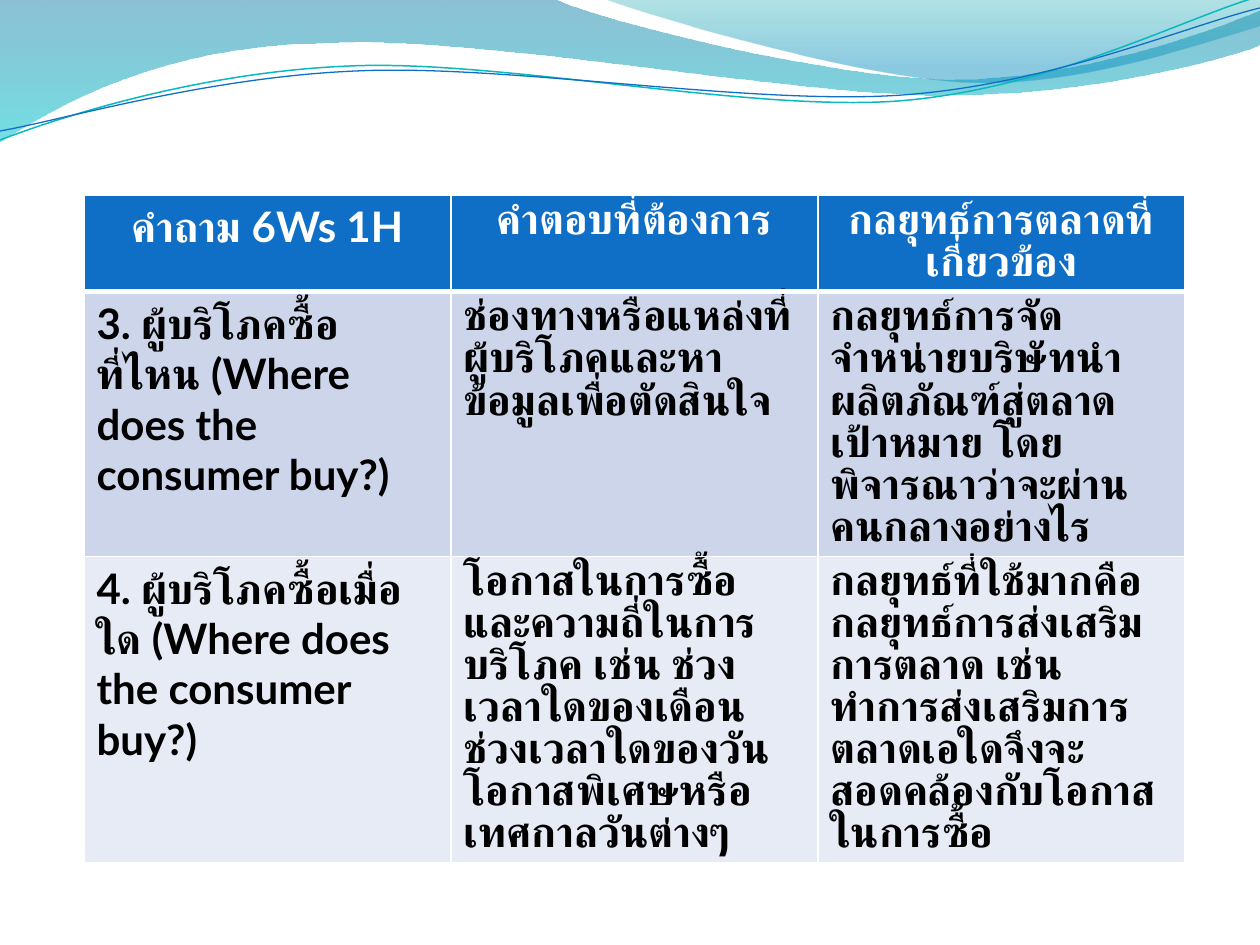
from typing import NamedTuple

from lxml.etree import SubElement
from pptx import Presentation
from pptx.dml.color import RGBColor
from pptx.enum.text import PP_ALIGN
from pptx.oxml import parse_xml
from pptx.oxml.ns import nsdecls, qn
from pptx.util import Emu, Pt

SCALE = 914400 / 126
FONT = "Lato"

Point = tuple[int, int]


class Stop(NamedTuple):
    pos: int
    color: str
    alpha: int


class Outline(NamedTuple):
    """A start and its segments: one point is a line, three are a Bezier curve."""
    start: Point
    segments: list[list[Point]]


class Band(NamedTuple):
    outline: Outline
    stops: list[Stop]


class Wave(NamedTuple):
    outline: Outline
    color: str
    width: float


class Row(NamedTuple):
    fill: str
    color: str
    texts: list[str]


BANDS = [
    Band(Outline((0, 0), [
        [(554, -1)],
        [(600, 21), (837, 79), (955, 79)],
        [(1075, 79), (1207, 33), (1260, 11)],
        [(1261, 45)],
        [(1239, 55), (1096, 96), (940, 95)],
        [(784, 95), (481, 35), (324, 43)],
        [(163, 45), (58, 105), (-1, 142)]]),
        [Stop(0, "0074A1", 45), Stop(100, "00C6CF", 55)]),
    Band(Outline((604, -1), [
        [(641, 14), (859, 78), (969, 82)],
        [(1079, 87), (1211, 40), (1260, 26)],
        [(1260, 0)]]),
        [Stop(0, "00A1A9", 30), Stop(80, "008BBF", 45)]),
]
WAVES = [
    Wave(Outline((0, 140), [
        [(60, 117), (199, 72), (349, 66)],
        [(498, 59), (747, 112), (898, 101)],
        [(1050, 89), (1182, 19), (1257, -3)]]), "0AB8BF", 0.85),
    Wave(Outline((0, 131), [
        [(59, 121), (207, 77), (357, 71)],
        [(508, 64), (752, 106), (903, 95)],
        [(1053, 84), (1186, 26), (1260, 8)]]), "0F6FC6", 0.75),
]
ROWS = [
    Row("0F6FC6", "FFFFFF", [
        "คำถาม 6Ws 1H",
        "คำตอบที่ต้องการ",
        "กลยุทธ์การตลาดที่เกี่ยวข้อง"]),
    Row("CCD5EA", "000000", [
        "3. ผู้บริโภคซื้อที่ไหน (Where does the consumer buy?)",
        "ช่องทางหรือแหล่งที่ผู้บริโภคและหาข้อมูลเพื่อตัดสินใจ",
        "กลยุทธ์การจัดจำหน่ายบริษัทนำผลิตภัณฑ์สู่ตลาดเป้าหมาย "
        "โดยพิจารณาว่าจะผ่านคนกลางอย่างไร"]),
    Row("E7EBF5", "000000", [
        "4. ผู้บริโภคซื้อเมื่อใด (Where does the consumer buy?)",
        "โอกาสในการซื้อ และความถี่ในการบริโภค เช่น ช่วงเวลาใดของเดือน "
        "ช่วงเวลาใดของวันโอกาสพิเศษหรือเทศกาลวันต่างๆ",
        "กลยุทธ์ที่ใช้มากคือ กลยุทธ์การส่งเสริมการตลาด เช่น "
        "ทำการส่งเสริมการตลาดเอใดจึงจะสอดคล้องกับโอกาสในการซื้อ"]),
]
TABLE_LEFT, TABLE_TOP, TABLE_HEIGHT = 84, 195, 542
COL_WIDTH, ROW_HEIGHT = 367, 52


def px(n: int) -> Emu:
    return Emu(round(n * SCALE))


def rgb(color: str) -> RGBColor:
    return RGBColor.from_string(color)


def add_outline(slide, outline: Outline, close: bool):
    """Build the outline from its end points, then bend the curved segments."""
    start, segments = outline
    builder = slide.shapes.build_freeform(px(start[0]), px(start[1]))
    builder.add_line_segments(
        [(px(x), px(y)) for x, y in (seg[-1] for seg in segments)], close=close)
    sp = builder.convert_to_shape()
    sp.shadow.inherit = False
    lines = list(sp.element.iter(qn("a:lnTo")))
    for line, segment in zip(lines, segments):
        if len(segment) == 3:
            curve = parse_xml(f'<a:cubicBezTo {nsdecls("a")}/>')
            for x, y in segment:
                SubElement(curve, qn("a:pt"),
                           x=str(px(x) - sp.left), y=str(px(y) - sp.top))
            line.getparent().replace(line, curve)
    return sp


def add_band(slide, band: Band) -> None:
    sp = add_outline(slide, band.outline, True)
    sp.line.fill.background()
    stops = "".join(
        f'<a:gs pos="{s.pos * 1000}"><a:srgbClr val="{s.color}">'
        f'<a:alpha val="{s.alpha * 1000}"/></a:srgbClr></a:gs>' for s in band.stops)
    grad = parse_xml(f'<a:gradFill {nsdecls("a")} rotWithShape="1"><a:gsLst>{stops}'
                     '</a:gsLst><a:lin ang="5400000" scaled="0"/></a:gradFill>')
    sp.element.spPr.find(qn("a:custGeom")).addnext(grad)


def add_wave(slide, wave: Wave) -> None:
    sp = add_outline(slide, wave.outline, False)
    sp.fill.background()
    sp.line.color.rgb = rgb(wave.color)
    sp.line.width = Pt(wave.width)


def set_borders(cell, bottom: int) -> None:
    tcPr = cell._tc.get_or_add_tcPr()
    for side, width in (("L", 1), ("R", 1), ("T", 1), ("B", bottom)):
        ln = SubElement(tcPr, qn(f"a:ln{side}"), w=str(Pt(width)))
        SubElement(SubElement(ln, qn("a:solidFill")), qn("a:srgbClr"), val="FFFFFF")


def fill_cell(cell, row: Row, text: str, header: bool, thai_only: bool) -> None:
    set_borders(cell, 3 if header else 1)
    cell.fill.solid()
    cell.fill.fore_color.rgb = rgb(row.fill)
    p = cell.text_frame.paragraphs[0]
    p.alignment = PP_ALIGN.CENTER if header else PP_ALIGN.LEFT
    if thai_only:
        p.line_spacing = Pt(24)
    r = p.add_run()
    r.text = text
    r.font.size = Pt(24)
    r.font.bold = True
    r.font.name = FONT
    r.font.color.rgb = rgb(row.color)
    SubElement(r._r.get_or_add_rPr(), qn("a:cs"), typeface=FONT)


def add_question_table(slide) -> None:
    """Rows start at one low height and grow to fit their text."""
    cols = len(ROWS[0].texts)
    frame = slide.shapes.add_table(
        len(ROWS), cols, px(TABLE_LEFT), px(TABLE_TOP),
        px(COL_WIDTH * cols), px(TABLE_HEIGHT))
    table = frame.table
    for col in table.columns:
        col.width = px(COL_WIDTH)
    for i, row in enumerate(ROWS):
        table.rows[i].height = px(ROW_HEIGHT)
        for j, text in enumerate(row.texts):
            fill_cell(table.cell(i, j), row, text, header=i == 0, thai_only=j > 0)
    frame.height = px(TABLE_HEIGHT)


def main() -> None:
    prs = Presentation()
    prs.slide_width, prs.slide_height = px(1260), px(945)
    slide = prs.slides.add_slide(prs.slide_layouts[6])
    for band in BANDS:
        add_band(slide, band)
    for wave in WAVES:
        add_wave(slide, wave)
    add_question_table(slide)
    prs.save("out.pptx")


if __name__ == "__main__":
    main()
